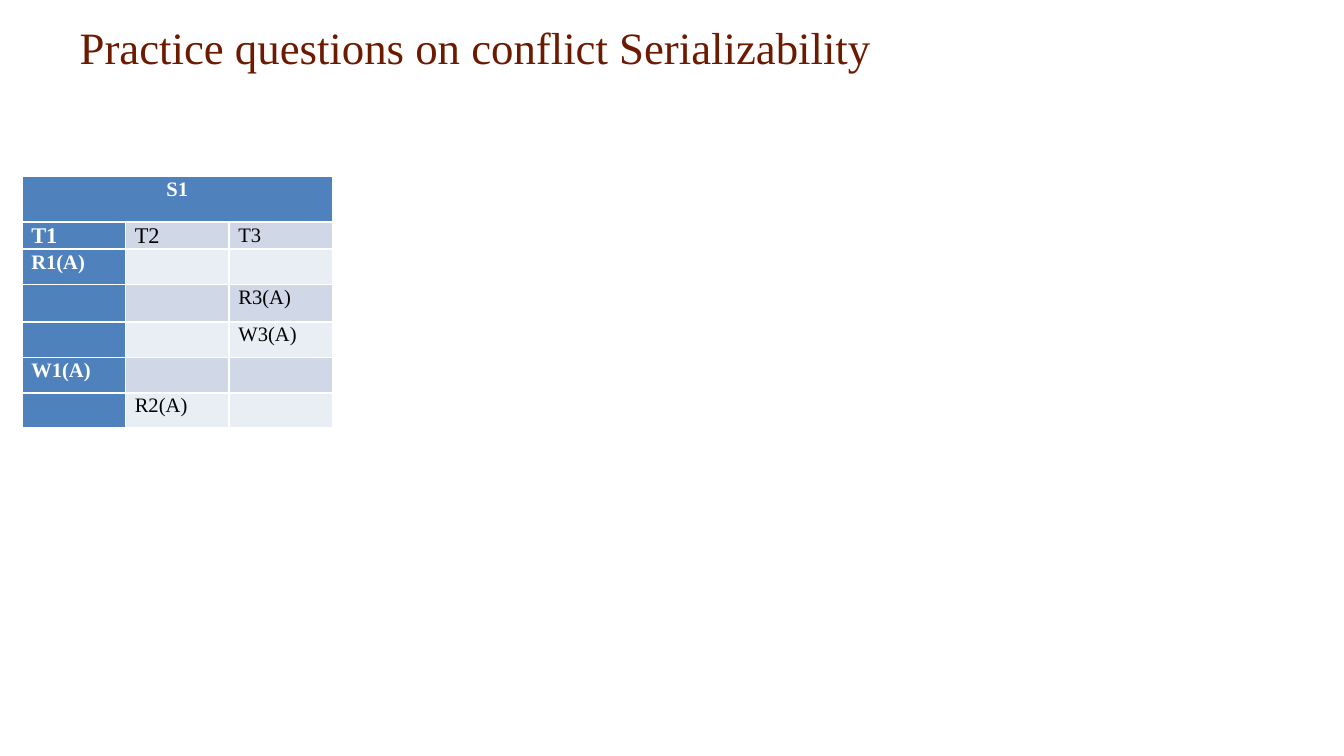
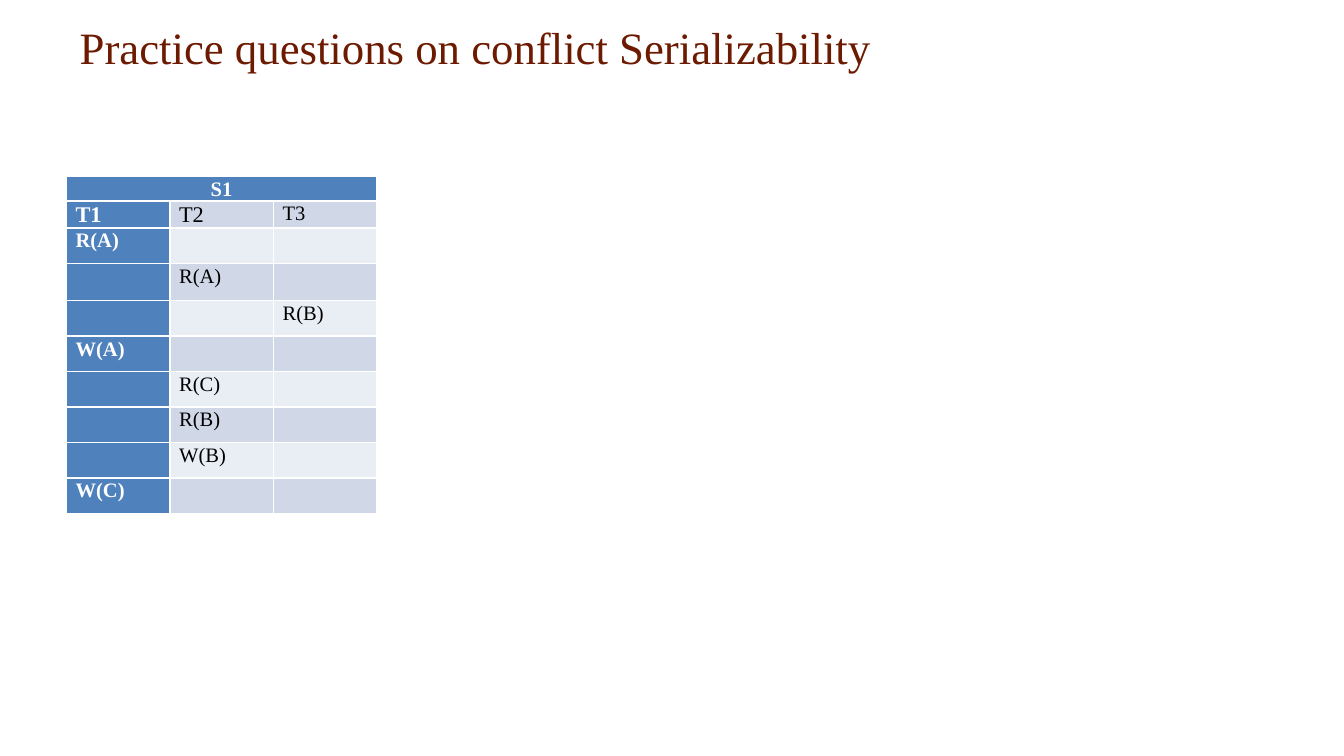
"""Build two practice slides on conflict serializability, each with a schedule table."""
from lxml import etree
from pptx import Presentation
from pptx.dml.color import RGBColor
from pptx.enum import text
from pptx.oxml.ns import qn
from pptx.util import Pt

TITLE = "Practice questions on conflict Serializability"
SCHEDULE = "S1"
TRANSACTIONS = ("T1", "T2", "T3")
SLIDES = [
    {"left": 11.75, "header": 24.5,
     "steps": [(0, "R1(A)"), (2, "R3(A)"), (2, "W3(A)"), (0, "W1(A)"), (1, "R2(A)")]},
    {"left": 35.5, "header": 12.5,
     "steps": [(0, "R(A)"), (1, "R(A)"), (2, "R(B)"), (0, "W(A)"),
               (1, "R(C)"), (1, "R(B)"), (1, "W(B)"), (0, "W(C)")]},
]

FONT = "Times New Roman"
BROWN = RGBColor(0x6C, 0x1A, 0x00)
BLUE = RGBColor(0x4F, 0x81, 0xBD)
BANDS = (RGBColor(0xE9, 0xED, 0xF4), RGBColor(0xD0, 0xD8, 0xE8))
WHITE = RGBColor(0xFF, 0xFF, 0xFF)
BLACK = RGBColor(0x00, 0x00, 0x00)

TABLE_TOP, COL_WIDTH = 94.5, 55.5
NAMES_HEIGHT, STEP_HEIGHT, TALL_STEP_HEIGHT = 14.5, 19, 20


def set_font(p, size, color, bold=False):
    p.font.name, p.font.size, p.font.bold = FONT, Pt(size), bold
    p.font.color.rgb = color


def add_title(s):
    sp = s.shapes.title
    sp.left, sp.top, sp.width, sp.height = Pt(35.5), Pt(7), Pt(649), Pt(36)
    tf = sp.text_frame
    tf.text = TITLE
    tf.vertical_anchor = text.MSO_ANCHOR.MIDDLE
    p = tf.paragraphs[0]
    p.alignment = text.PP_ALIGN.LEFT
    set_font(p, 24, BROWN)


def fill_cell(cell, words, row, col):
    head = row == 0 or col == 0
    cell.fill.solid()
    cell.fill.fore_color.rgb = BLUE if head else BANDS[row % 2]
    cell.margin_left = cell.margin_right = Pt(5)
    cell.margin_top = cell.margin_bottom = 0
    cell.text = words
    p = cell.text_frame.paragraphs[0]
    p.line_spacing, p.space_after = 1.07, Pt(8)
    if row == 0:
        p.alignment = text.PP_ALIGN.CENTER
    size = 12 if row == 1 and col < 2 else 11
    set_font(p, size, WHITE if head else BLACK, head)
    if not words:
        etree.SubElement(p._p, qn("a:endParaRPr")).set("sz", str(size * 100))


def add_schedule(s, left, header, steps):
    count = len(TRANSACTIONS)
    rows = [(SCHEDULE,) + ("",) * (count - 1), TRANSACTIONS]
    rows += [[op if c == col else "" for c in range(count)] for col, op in steps]
    heights = [header, NAMES_HEIGHT] + [STEP_HEIGHT] * len(steps)
    heights[3] = TALL_STEP_HEIGHT
    table = s.shapes.add_table(len(rows), count, Pt(left), Pt(TABLE_TOP),
                               Pt(COL_WIDTH * count), Pt(sum(heights))).table
    table.first_col = True
    for column in table.columns:
        column.width = Pt(COL_WIDTH)
    for r, (words, height) in enumerate(zip(rows, heights)):
        table.rows[r].height = Pt(height)
        for c, word in enumerate(words):
            fill_cell(table.cell(r, c), word, r, c)
    table.cell(0, 0).merge(table.cell(0, count - 1))


def main():
    prs = Presentation()
    prs.slide_width, prs.slide_height = Pt(720), Pt(405)
    for content in SLIDES:
        s = prs.slides.add_slide(prs.slide_layouts[5])
        add_title(s)
        add_schedule(s, **content)
    prs.save("out.pptx")


if __name__ == "__main__":
    main()
